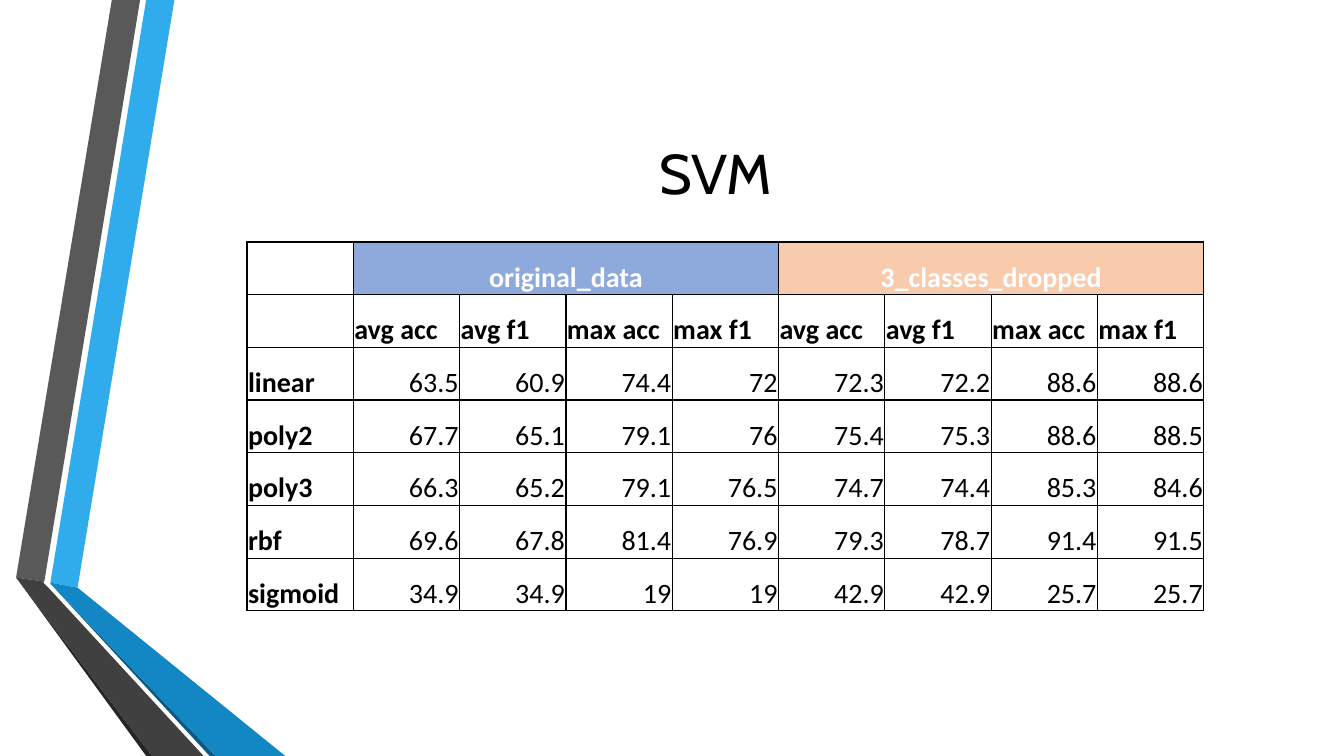
from lxml import etree
from pptx import Presentation
from pptx.dml.color import RGBColor
from pptx.enum.text import MSO_ANCHOR, PP_ALIGN
from pptx.oxml.ns import qn
from pptx.util import Inches, Pt

LEFT, CENTER, RIGHT = PP_ALIGN.LEFT, PP_ALIGN.CENTER, PP_ALIGN.RIGHT
MIDDLE, BOTTOM = MSO_ANCHOR.MIDDLE, MSO_ANCHOR.BOTTOM

# The slide is a grid of one-inch columns and rows
COLS, ROWS = 13.33, 7.5
COLORS = {
    "black": "000000", "white": "FFFFFF",
    "blue": "30ACEC", "mid_blue": "1287C3", "dark_blue": "0C5A82",
    "gray": "595959", "mid_gray": "404040", "dark_gray": "262626",
    "original": "8EA9DB", "dropped": "F8CBAD",
}

# Ribbon faces, as points in grid units from the corner of the ribbon box
RIBBONS = [
    ("blue", [(0.34, 5.78), (0.61, 5.83), (1.57, 0), (1.29, 0)]),
    ("gray", [(1.23, 0), (0.95, 0), (0, 5.73), (0.28, 5.77)]),
    ("dark_gray", [(0, 5.73), (1.29, 7.5), (1.35, 7.5)]),
    ("dark_blue", [(0.34, 5.79), (1.92, 7.5), (1.98, 7.5)]),
    ("mid_blue", [(0.34, 5.79), (1.98, 7.5), (2.67, 7.5), (0.61, 5.83),
                  (0.34, 5.78)]),
    ("mid_gray", [(1.86, 7.5), (0.32, 5.83), (0.27, 5.78), (0.28, 5.77),
                  (0, 5.73), (1.35, 7.5)]),
]

GROUPS = [("original_data", "original"), ("3_classes_dropped", "dropped")]
METRICS = ["avg acc", "avg f1", "max acc", "max f1"]
SCORES = {
    "linear": [63.5, 60.9, 74.4, 72, 72.3, 72.2, 88.6, 88.6],
    "poly2": [67.7, 65.1, 79.1, 76, 75.4, 75.3, 88.6, 88.5],
    "poly3": [66.3, 65.2, 79.1, 76.5, 74.7, 74.4, 85.3, 84.6],
    "rbf": [69.6, 67.8, 81.4, 76.9, 79.3, 78.7, 91.4, 91.5],
    "sigmoid": [34.9, 34.9, 19, 19, 42.9, 42.9, 25.7, 25.7],
}


def rgb(name):
    return RGBColor.from_string(COLORS[name])


def add_text(tf, text, size, font, color="black", bold=False, align=LEFT):
    p = tf.paragraphs[0]
    p.alignment = align
    r = p.add_run()
    r.text = text
    r.font.size, r.font.name, r.font.bold = Pt(size), font, bold
    r.font.color.rgb = rgb(color)


def add_ribbons(s, left, top):
    for color, points in RIBBONS:
        points = [(Inches(left + x), Inches(top + y)) for x, y in points]
        builder = s.shapes.build_freeform(*points[0])
        builder.add_line_segments(points[1:], close=True)
        sp = builder.convert_to_shape()
        sp.shadow.inherit = False
        sp.fill.solid()
        sp.fill.fore_color.rgb = rgb(color)
        sp.line.fill.background()


def add_title(s, left, top, width, height, text):
    sp = s.shapes.add_textbox(*map(Inches, (left, top, width, height)))
    tf = sp.text_frame
    tf.word_wrap = True
    tf.vertical_anchor = MIDDLE
    add_text(tf, text, 40, "Cabin", align=CENTER)


def format_cell(cell):
    cell.margin_left = cell.margin_right = cell.margin_top = Inches(0.01)
    cell.margin_bottom = 0
    cell.vertical_anchor = BOTTOM
    cell.fill.background()
    # Borders come before the fill in the cell properties
    tc_pr = cell._tc.get_or_add_tcPr()
    for i, side in enumerate(("lnL", "lnR", "lnT", "lnB")):
        ln = etree.Element(qn(f"a:{side}"), w=str(Pt(1)))
        fill = etree.SubElement(ln, qn("a:solidFill"))
        etree.SubElement(fill, qn("a:srgbClr"), val=COLORS["black"])
        tc_pr.insert(i, ln)


def add_score_table(s, left, top, width, height):
    n_rows = 2 + len(SCORES)
    n_cols = 1 + len(GROUPS) * len(METRICS)
    box = map(Inches, (left, top, width, height))
    table = s.shapes.add_table(n_rows, n_cols, *box).table
    table.first_row = table.horz_banding = False
    for cell in table.iter_cells():
        format_cell(cell)

    def write(row, col, text, **style):
        add_text(table.cell(row, col).text_frame, text, 20, "Calibri", **style)

    # Group headings, each above its own set of metrics
    for g, (name, color) in enumerate(GROUPS):
        first = 1 + g * len(METRICS)
        cell = table.cell(0, first)
        cell.merge(table.cell(0, first + len(METRICS) - 1))
        cell.fill.solid()
        cell.fill.fore_color.rgb = rgb(color)
        write(0, first, name, color="white", bold=True, align=CENTER)
        for m, metric in enumerate(METRICS):
            write(1, first + m, metric, bold=True)

    # One row of scores per kernel
    for row, (kernel, scores) in enumerate(SCORES.items(), 2):
        write(row, 0, kernel, bold=True)
        for col, score in enumerate(scores, 1):
            write(row, col, str(score), align=RIGHT)


def main():
    prs = Presentation()
    prs.slide_width, prs.slide_height = Inches(COLS), Inches(ROWS)
    s = prs.slides.add_slide(prs.slide_layouts[6])
    add_ribbons(s, 0.16, 0)
    add_title(s, 1.62, 0.75, 10.96, 1.92, "SVM")
    add_score_table(s, 2.45, 2.4, 9.49, 3.66)
    prs.save("out.pptx")


if __name__ == "__main__":
    main()
